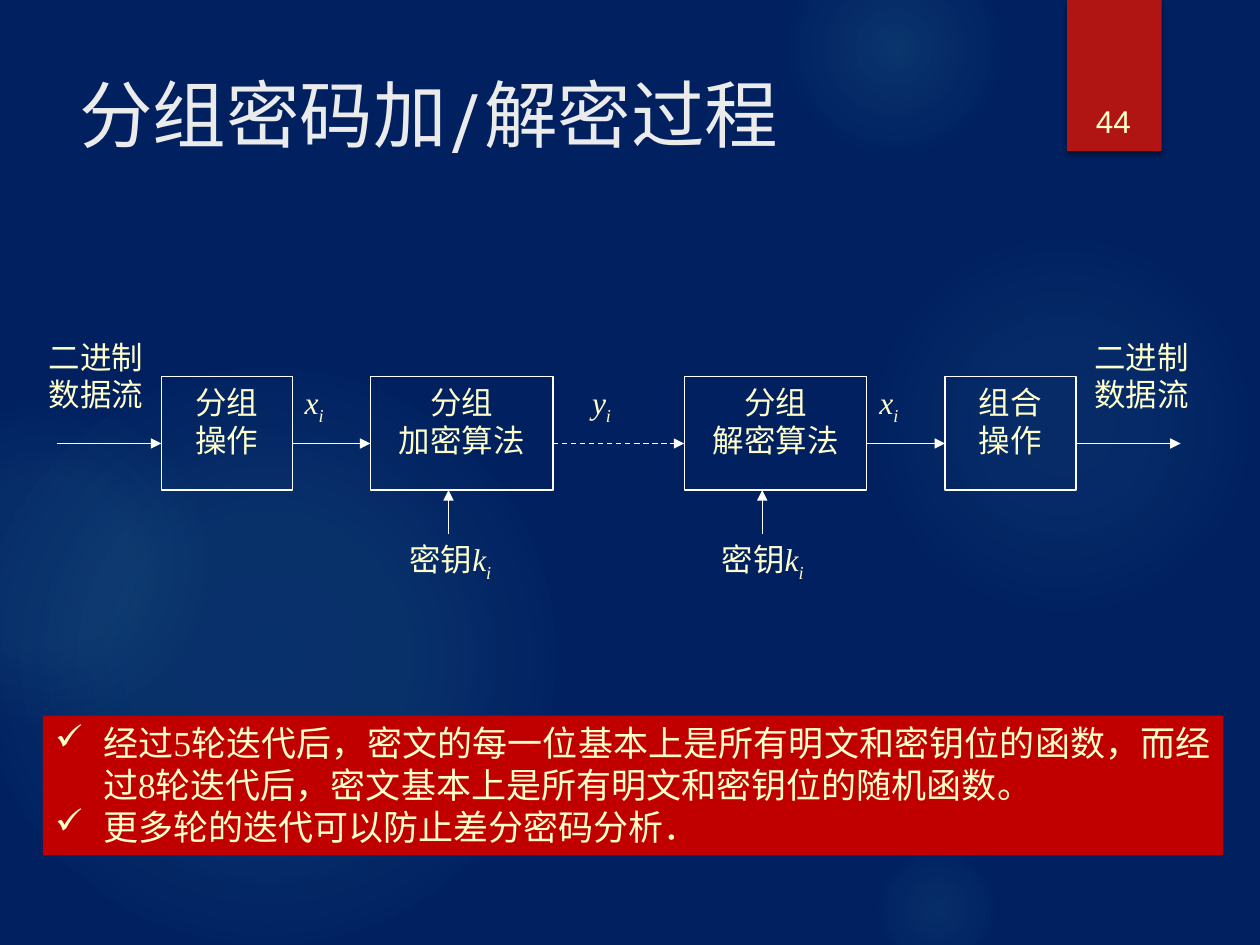
"""Build a slide on the encryption and decryption steps of a block cipher."""
from lxml import etree
from pptx import Presentation
from pptx.dml import color
from pptx.enum import dml, shapes, text
from pptx.oxml import ns, parse_xml
from pptx.util import Inches, Pt

rgb = color.RGBColor.from_string
LEFT, MID, JUST = text.PP_ALIGN.LEFT, text.PP_ALIGN.CENTER, text.PP_ALIGN.JUSTIFY
XMLNS = 'xmlns:a="http://schemas.openxmlformats.org/drawingml/2006/main"'


def block(at, fill=None, line=None, kind=shapes.MSO_SHAPE.RECTANGLE):
    """Add a plain preset shape."""
    shape = slide.shapes.add_shape(kind, *[Inches(v) for v in at])
    shape.shadow.inherit = False
    if fill:
        shape.fill.solid()
        shape.fill.fore_color.rgb = rgb(fill)
    else:
        shape.fill.background()
    if line:
        shape.line.color.rgb = rgb(line)
        shape.line.width = Pt(0.75)
    else:
        shape.line.fill.background()
    return shape


def write(at, paras, align, size=18, font="Times New Roman", ink="FFFFCC", shape=None):
    """Write paragraphs of (words, style) runs in a shape or a new text box."""
    shape = shape or slide.shapes.add_textbox(*[Inches(v) for v in at])
    frame = shape.text_frame
    frame.word_wrap = True
    frame.vertical_anchor = text.MSO_ANCHOR.TOP
    for n, runs in enumerate(paras):
        para = frame.paragraphs[0] if n == 0 else frame.add_paragraph()
        para.alignment = align
        for words, style in runs:
            run = para.add_run()
            run.text = words
            run.font.size = Pt(size)
            run.font.name = font
            run.font.color.rgb = rgb(ink)
            if style:
                run.font.italic = True
            if style == "sub":
                run.font._element.set("baseline", "-25000")
    return frame


deck = Presentation()
deck.slide_width, deck.slide_height = Inches(10), Inches(7.5)
slide = deck.slides.add_slide(deck.slide_layouts[6])
slide.background.fill.solid()
slide.background.fill.fore_color.rgb = rgb("002060")

glows = [
    (6.89, 1.83, 3.08, [(0, 7), (36, 6), (69, 0)]),
    (6.22, -0.5, 1.75, [(0, 14), (36, 7), (73, 0)]),
    (6.89, 6.67, 1.08, [(0, 9), (36, 5), (66, 0)]),
    (-0.17, 2.92, 4.58, [(0, 11), (36, 10), (75, 0)]),
    (-0.92, 3.17, 2.58, [(0, 8), (36, 8), (72, 0)]),
]
for x, y, size, stops in glows:
    glow = block((x, y, size, size), kind=shapes.MSO_SHAPE.OVAL)
    marks = "".join(
        f'<a:gs pos="{pos}000"><a:srgbClr val="50B9C1"><a:alpha val="{alpha}000"/></a:srgbClr></a:gs>'
        for pos, alpha in stops)
    grad = parse_xml(
        f'<a:gradFill {XMLNS}><a:gsLst>{marks}</a:gsLst><a:path path="circle">'
        '<a:fillToRect l="50000" t="50000" r="50000" b="50000"/></a:path></a:gradFill>')
    props = glow._element.spPr
    props.replace(props.find(ns.qn("a:noFill")), grad)

tab = block((8.47, 0, 0.75, 1.2), "B01513")
tab._element.spPr.find(ns.qn("a:effectLst")).append(parse_xml(
    f'<a:outerShdw {XMLNS} blurRad="{Pt(3)}" dist="{Pt(2)}" dir="5400000" rotWithShape="0">'
    '<a:srgbClr val="000000"><a:alpha val="45000"/></a:srgbClr></a:outerShdw>'))
page = write((8.49, 0.32, 0.69, 0.84), [[("44", "")]], MID, font="Arial")
page.vertical_anchor = text.MSO_ANCHOR.BOTTOM
write((0.53, 0.5, 7.72, 1.53), [[("分组密码加/解密过程", "")]], LEFT,
      42, "TeX Gyre Adventor", "EBEBEB")

steps = [(1.28, 1.04, "分组", "操作"), (2.94, 1.45, "分组", "加密算法"),
         (5.43, 1.45, "分组", "解密算法"), (7.5, 1.04, "组合", "操作")]
for x, wide, top, low in steps:
    at = (x, 2.99, wide, 0.9)
    write(at, [[(top, "")], [(low, "")]], MID, shape=block(at, line="FFFFFF"))

for x in (0.24, 8.54):
    write((x, 2.63, 1.04, 0.9), [[("二进制", "")], [("数据流", "")]], MID)
for x, name in ((2.32, "x"), (4.6, "y"), (6.88, "x")):
    write((x, 2.99, 0.62, 0.54), [[(name, "i"), ("i", "sub")]], JUST)
for x in (3.15, 5.63):
    write((x, 4.24, 1.04, 0.54), [[("密钥", ""), ("k", "i"), ("i", "sub")]], JUST)

flow = 3.52
ends = [0.45] + [v for x, wide, *_ in steps for v in (x, x + wide)] + [9.37]
arrows = [(a, flow, b, flow) for a, b in zip(ends[::2], ends[1::2])]
arrows += [(x, 4.24, x, 3.89) for x in (3.56, 6.05)]
for n, points in enumerate(arrows):
    arrow = slide.shapes.add_connector(
        shapes.MSO_CONNECTOR.STRAIGHT, *[Inches(v) for v in points])
    arrow.line.color.rgb = rgb("FFFFFF")
    arrow.line.width = Pt(0.75)
    if n == 2:
        arrow.line.dash_style = dml.MSO_LINE.DASH
    etree.SubElement(arrow.line._get_or_add_ln(), ns.qn("a:tailEnd"), type="triangle")
    etree.SubElement(arrow._element.spPr, ns.qn("a:effectLst"))

at = (0.34, 5.68, 9.37, 1.11)
notes = ["经过5轮迭代后，密文的每一位基本上是所有明文和密钥位的函数，而经过8轮迭代后，密文基本上是所有明文和密钥位的随机函数。",
         "更多轮的迭代可以防止差分密码分析．"]
frame = write(at, [[(note, "")] for note in notes], JUST, 20, shape=block(at, "C00000"))
for para in frame.paragraphs:
    props = para._p.get_or_add_pPr()
    props.set("marL", str(Inches(0.38)))
    props.set("indent", str(Inches(-0.38)))
    etree.SubElement(props, ns.qn("a:buChar"), char="✓")

deck.save("out.pptx")
